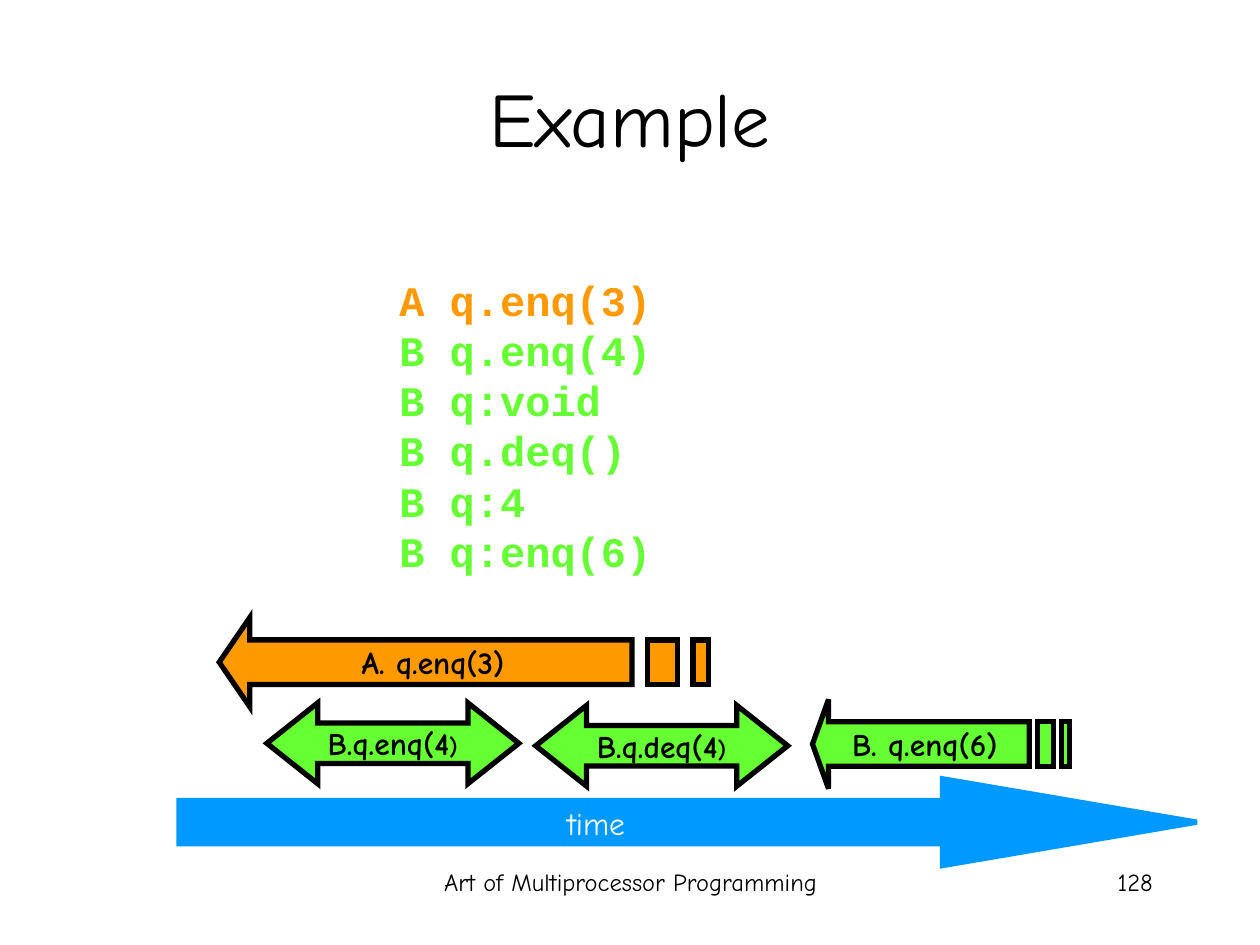
import pptx
import pptx.dml.color
import pptx.enum.shapes
import pptx.enum.text
import pptx.util
from lxml import etree

Cm = pptx.util.Cm
Pt = pptx.util.Pt
ALIGN = pptx.enum.text.PP_ALIGN
ANCHOR = pptx.enum.text.MSO_ANCHOR
SHAPES = pptx.enum.shapes.MSO_SHAPE
DRAWING = "http://schemas.openxmlformats.org/drawingml/2006/main"

BLACK, WHITE = "000000", "FFFFFF"
ORANGE, GREEN, BLUE = "FF9900", "66FF33", "0099FF"
LABEL = dict(align=ALIGN.CENTER, bold=True, anchor=ANCHOR.MIDDLE, wrap=False)


def color(value):
    return pptx.dml.color.RGBColor.from_string(value)


def write(frame, spans, size=18, font="Comic Neue", fill=BLACK, bold=False,
          align=ALIGN.LEFT, anchor=ANCHOR.TOP, wrap=True, spacing=None, new=False):
    frame.word_wrap = wrap
    frame.vertical_anchor = anchor
    para = frame.add_paragraph() if new else frame.paragraphs[0]
    para.alignment = align
    if spacing:
        para.line_spacing = Pt(spacing)
    for text, span_size in spans if isinstance(spans, list) else [(spans, size)]:
        span = para.add_run()
        span.text = text
        span.font.size = Pt(span_size)
        span.font.name = font
        span.font.bold = bold
        span.font.color.rgb = color(fill)


def text_box(page, box, text, **style):
    shape = page.shapes.add_textbox(*map(Cm, box))
    write(shape.text_frame, text, **style)


def paint(shape, fill, line=BLACK):
    shape.shadow.inherit = False
    shape.fill.solid()
    shape.fill.fore_color.rgb = color(fill)
    shape.line.color.rgb = color(line)
    shape.line.width = Pt(3)
    outline = shape.line.fill._xPr
    etree.SubElement(outline, f"{{{DRAWING}}}miter", lim="800000")


def history(page, box, events):
    frame = page.shapes.add_textbox(*map(Cm, box)).text_frame
    for index, event in enumerate(events):
        write(frame, event, size=24, font="Courier New", bold=True, spacing=28.7,
              fill=ORANGE if event.startswith("A") else GREEN, new=index > 0)


def timeline(page, box):
    left, top, width, height = box
    arrow = page.shapes.add_shape(SHAPES.RIGHT_ARROW, *map(Cm, box))
    arrow.adjustments[0] = 0.5
    arrow.adjustments[1] = 2.93
    paint(arrow, BLUE, BLUE)
    text_box(page, (left + 7.41, top + 0.38, 1.83, 1.02), "time",
             fill=WHITE, align=ALIGN.RIGHT, wrap=False)


def finished_call(page, box, name):
    arrow = page.shapes.add_shape(SHAPES.LEFT_RIGHT_ARROW, *map(Cm, box))
    arrow.adjustments[0] = 0.5
    arrow.adjustments[1] = 0.63
    paint(arrow, GREEN)
    write(arrow.text_frame, [(name, 18), (")", 14)], **LABEL)


def pending_call(page, box, name, fill):
    left, top, width, height = map(Cm, box)

    def points(*fractions):
        return [(left + round(width * x), top + round(height * y)) for x, y in fractions]

    def stripe(start, end):
        return points((end, 0.25), (end, 0.75), (start, 0.75), (start, 0.25))

    head, tail = 1 / 16, 27 / 32
    outlines = [
        points((head, 0), (head, 0.25), (tail, 0.25), (tail, 0.75),
               (head, 0.75), (head, 1), (0, 0.5)),
        stripe(28 / 32, 30 / 32),
        stripe(31 / 32, 1),
    ]
    builder = page.shapes.build_freeform(*outlines[0][0])
    for index, outline in enumerate(outlines):
        if index:
            builder.move_to(*outline[0])
        builder.add_line_segments(outline[1:], close=True)
    arrow = builder.convert_to_shape()
    paint(arrow, fill)
    write(arrow.text_frame, name, **LABEL)
    arrow.text_frame.margin_right = arrow.text_frame.margin_left + width // 8


def footer(page, top):
    text_box(page, (8.69, top, 8.05, 1.27), "Art of Multiprocessor Programming",
             size=14, align=ALIGN.CENTER)
    text_box(page, (18.21, top, 5.28, 1.27), "128", size=14, align=ALIGN.RIGHT)


def main():
    deck = pptx.Presentation()
    deck.slide_width, deck.slide_height = Cm(25.4), Cm(19.05)
    page = deck.slides.add_slide(deck.slide_layouts[6])
    footer(page, 17.35)
    history(page, (7.8, 5.41, 7.75, 6.35),
            ["A q.enq(3)", "B q.enq(4)", "B q:void", "B q.deq()", "B q:4", "B q:enq(6)"])
    text_box(page, (1.27, 0.76, 22.86, 3.18), "Example", size=44,
             align=ALIGN.CENTER, anchor=ANCHOR.MIDDLE)
    timeline(page, (3.61, 15.7, 20.52, 1.75))
    finished_call(page, (5.38, 14.17, 5.08, 1.63), "B.q.enq(4")
    pending_call(page, (4.42, 12.45, 9.86, 1.8), "A. q.enq(3)", ORANGE)
    finished_call(page, (10.8, 14.22, 5.08, 1.63), "B.q.deq(4")
    pending_call(page, (16.38, 14.1, 5.18, 1.8), "B. q.enq(6)", GREEN)
    deck.save("out.pptx")


if __name__ == "__main__":
    main()
